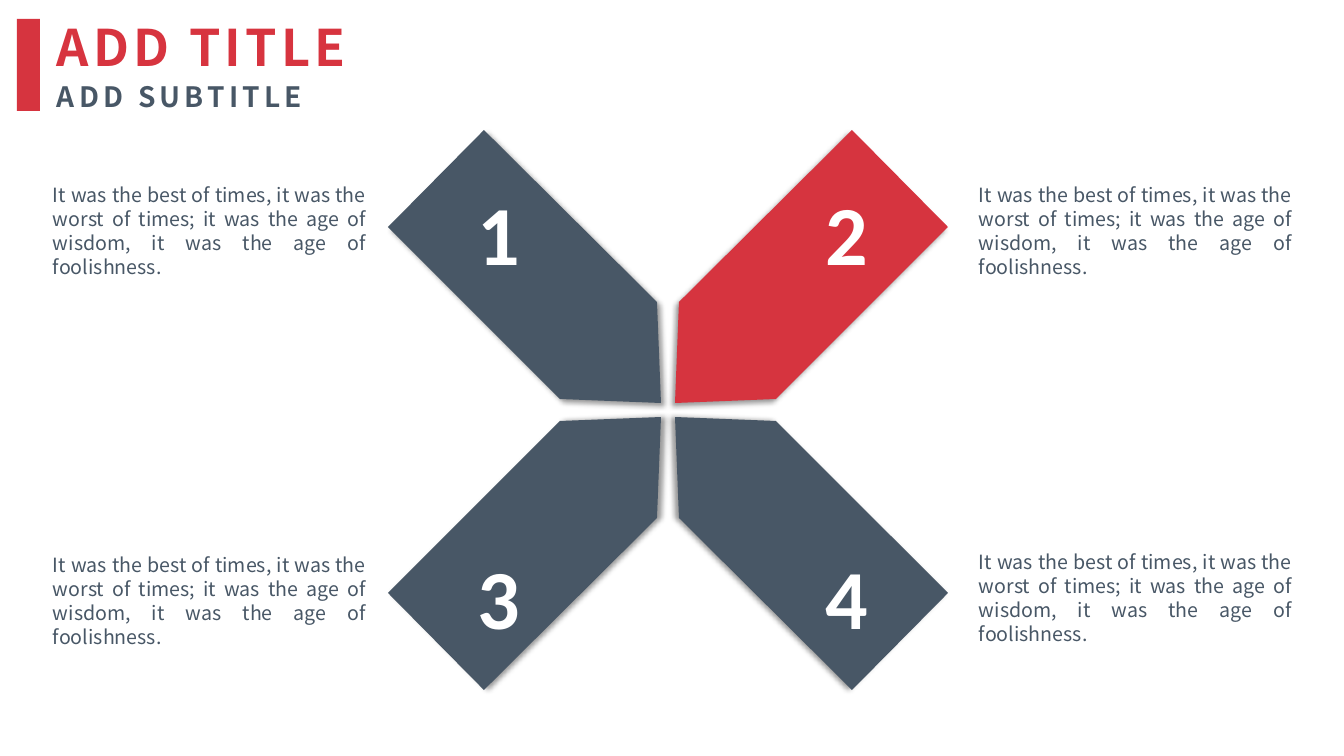
from dataclasses import dataclass

from lxml.etree import SubElement
from pptx import Presentation
from pptx.dml.color import RGBColor
from pptx.enum.shapes import MSO_SHAPE
from pptx.enum.text import MSO_AUTO_SIZE, PP_ALIGN
from pptx.oxml.ns import qn
from pptx.slide import Slide
from pptx.util import Emu, Pt

SCALE = 12192000 / 1344
PAGE_WIDTH, PAGE_HEIGHT = 1344, 756
CENTER_X, CENTER_Y = 668, 410
ARM_OUTLINE = [(11, 108), (7, 7), (108, 11), (280, 183), (184, 280)]

SLATE = RGBColor(0x48, 0x57, 0x66)
RED = RGBColor(0xD6, 0x34, 0x3F)
TITLE_RED = RGBColor(0xD7, 0x34, 0x3F)
WHITE = RGBColor(0xFF, 0xFF, 0xFF)

TEXT_FONT = "Noto Sans CJK SC"
NUMBER_FONT = "Calibri"
QUOTE = (
    "It was the best of times, it was the worst of times; "
    "it was the age of wisdom, it was the age of foolishness."
)


@dataclass(frozen=True)
class Arm:
    number: str
    side_x: int
    side_y: int
    color: RGBColor
    shadow_angle: int
    number_at: tuple[int, int]
    quote_at: tuple[int, int]


@dataclass(frozen=True)
class TextStyle:
    font: str
    size: int
    color: RGBColor
    align: PP_ALIGN
    bold: bool = False
    tracking: int = 0
    line_height: int | None = None


ARMS = [
    Arm("1", -1, -1, SLATE, 45, (461, 177), (43, 178)),
    Arm("2", 1, -1, RED, 135, (809, 177), (969, 178)),
    Arm("3", -1, 1, SLATE, 0, (461, 541), (43, 548)),
    Arm("4", 1, 1, SLATE, 180, (809, 541), (969, 545)),
]

NUMBER = TextStyle(NUMBER_FONT, 60, WHITE, PP_ALIGN.CENTER, bold=True)
BODY = TextStyle(TEXT_FONT, 14, SLATE, PP_ALIGN.JUSTIFY, line_height=17)
TITLE = TextStyle(TEXT_FONT, 36, TITLE_RED, PP_ALIGN.LEFT, True, 3, 44)
SUBTITLE = TextStyle(TEXT_FONT, 20, SLATE, PP_ALIGN.LEFT, True, 3, 24)


def px(length: int) -> Emu:
    return Emu(round(length * SCALE))


def add_arm(page: Slide, arm: Arm) -> None:
    points = [
        (CENTER_X + arm.side_x * dx, CENTER_Y + arm.side_y * dy)
        for dx, dy in ARM_OUTLINE
    ]
    builder = page.shapes.build_freeform(*points[0], scale=SCALE)
    builder.add_line_segments(points[1:], close=True)
    shape = builder.convert_to_shape()
    shape.fill.solid()
    shape.fill.fore_color.rgb = arm.color
    shape.line.fill.background()
    shape.shadow.inherit = False
    effects = shape._element.spPr.find(qn("a:effectLst"))
    shadow = SubElement(
        effects,
        qn("a:outerShdw"),
        blurRad=str(Pt(4)),
        dist=str(Pt(3)),
        dir=str(arm.shadow_angle * 60000),
        algn="ctr",
        rotWithShape="0",
    )
    shade = SubElement(shadow, qn("a:srgbClr"), val="000000")
    SubElement(shade, qn("a:alpha"), val="40000")


def add_text(
    page: Slide,
    text: str,
    at: tuple[int, int],
    size: tuple[int, int],
    style: TextStyle,
) -> None:
    box = page.shapes.add_textbox(*map(px, at + size))
    frame = box.text_frame
    frame.word_wrap = True
    frame.auto_size = MSO_AUTO_SIZE.SHAPE_TO_FIT_TEXT
    para = frame.paragraphs[0]
    para.text = text
    para.alignment = style.align
    if style.line_height:
        para.line_spacing = Pt(style.line_height)
    para.font.name = style.font
    para.font.size = Pt(style.size)
    para.font.bold = style.bold
    para.font.color.rgb = style.color
    if style.tracking:
        defaults = para._p.pPr.find(qn("a:defRPr"))
        defaults.set("spc", str(style.tracking * 100))


def add_accent_bar(page: Slide) -> None:
    bar = page.shapes.add_shape(
        MSO_SHAPE.RECTANGLE, px(17), px(19), px(23), px(92)
    )
    bar.fill.solid()
    bar.fill.fore_color.rgb = RED
    bar.line.fill.background()
    bar.shadow.inherit = False


def main() -> None:
    deck = Presentation()
    deck.slide_width = px(PAGE_WIDTH)
    deck.slide_height = px(PAGE_HEIGHT)
    page = deck.slides.add_slide(deck.slide_layouts[6])
    for arm in ARMS:
        add_arm(page, arm)
    for arm in ARMS:
        add_text(page, arm.number, arm.number_at, (76, 112), NUMBER)
        add_text(page, QUOTE, arm.quote_at, (333, 105), BODY)
    add_text(page, "ADD TITLE", (47, 10), (350, 72), TITLE)
    add_text(page, "ADD SUBTITLE", (47, 75), (289, 44), SUBTITLE)
    add_accent_bar(page)
    deck.save("out.pptx")


if __name__ == "__main__":
    main()
